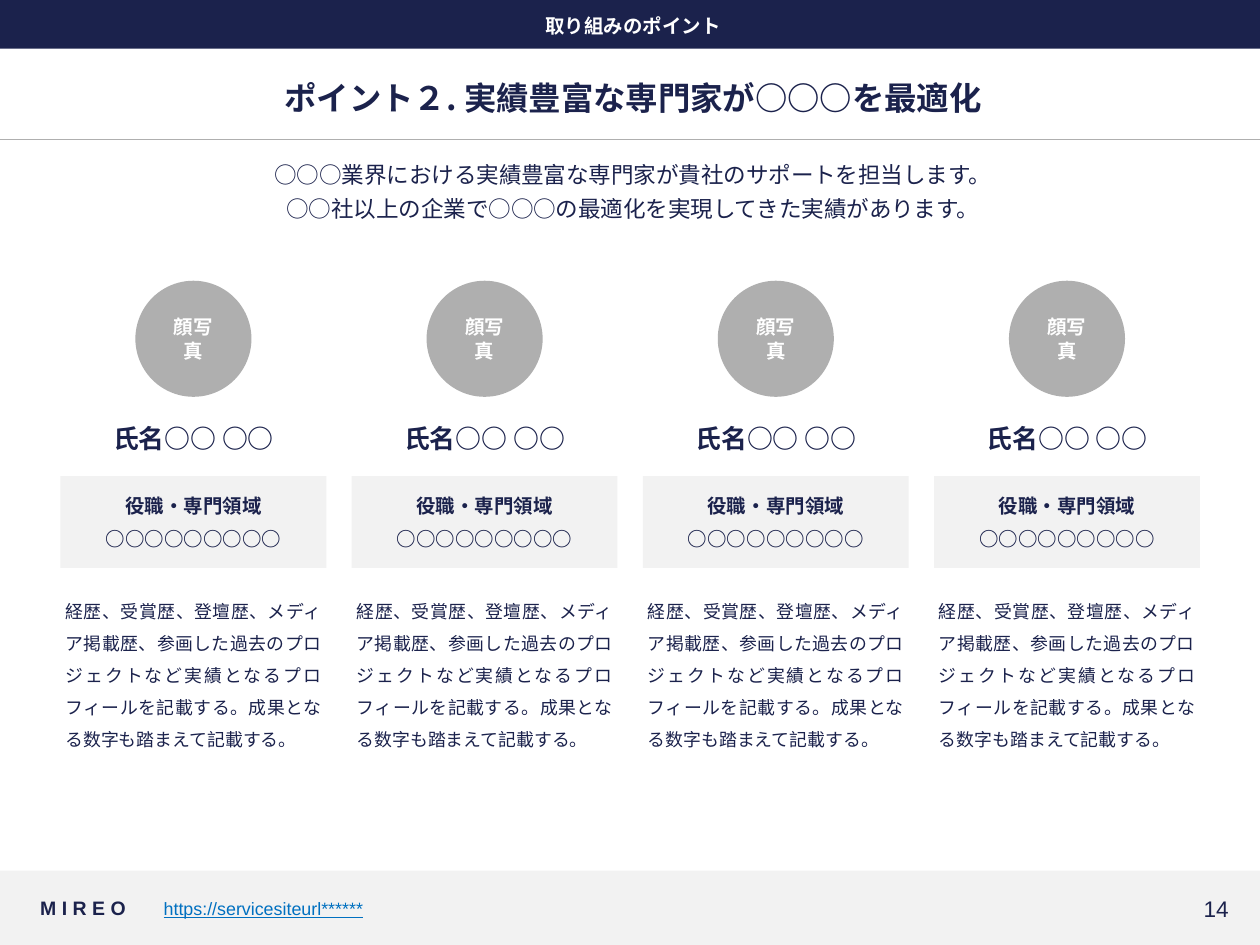
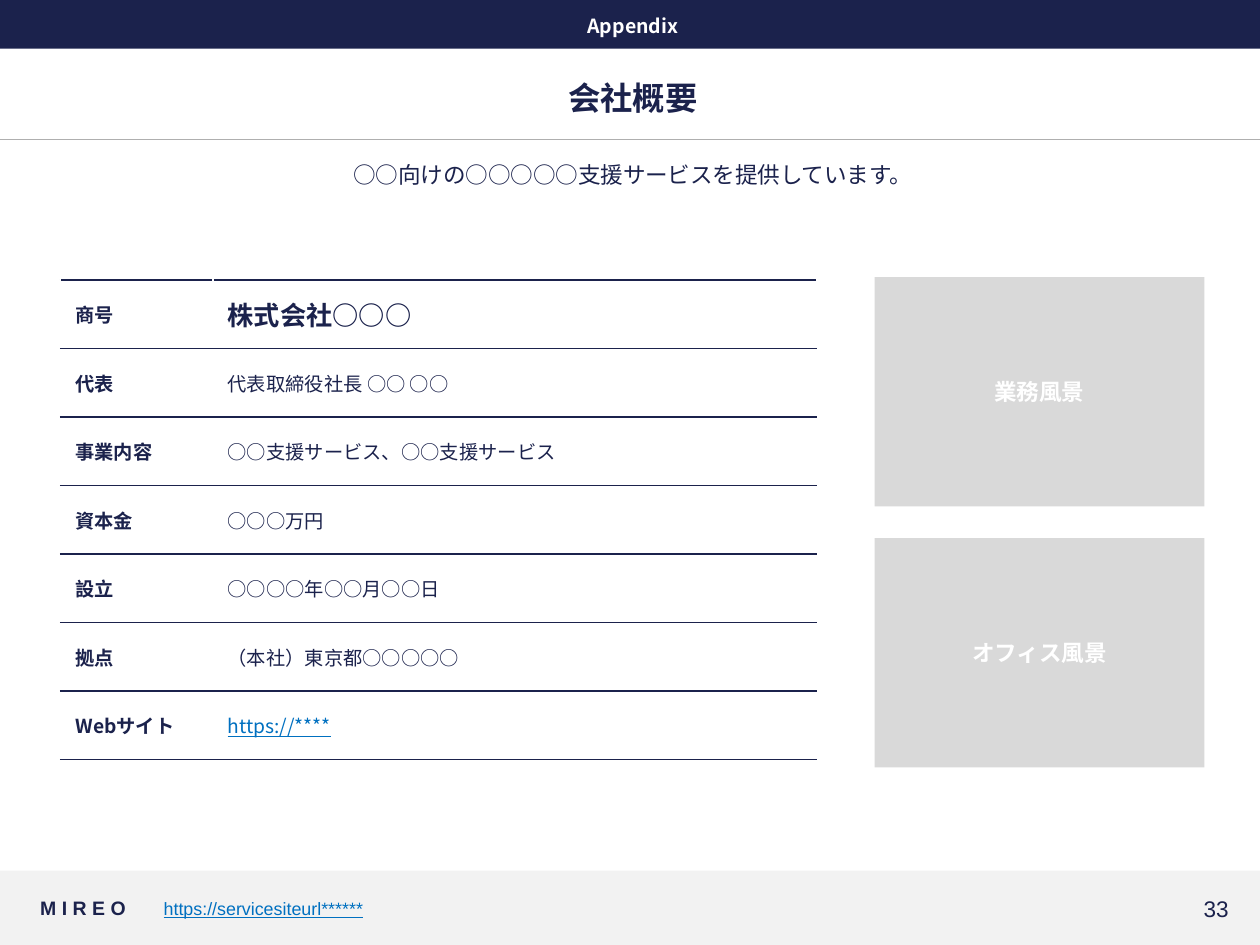
"""Build the expert-profile and company-overview slides of a service deck."""
from lxml import etree
from pptx import Presentation, util as u
from pptx.dml.color import RGBColor
from pptx.enum import shapes, text
from pptx.oxml import ns

COLORS = {
    "navy": "1B224C", "white": "FFFFFF", "pale": "F2F2F2",
    "grey": "AFAFAF", "photo": "D9D9D9", "link": "0070C0",
}
JAPANESE = "Noto Sans CJK JP"
LATIN = "Arial"
LEFT, CENTER, RIGHT, JUSTIFY = (
    text.PP_ALIGN.LEFT, text.PP_ALIGN.CENTER, text.PP_ALIGN.RIGHT, text.PP_ALIGN.JUSTIFY)
TOP, MIDDLE = text.MSO_ANCHOR.TOP, text.MSO_ANCHOR.MIDDLE
RECT, OVAL = shapes.MSO_SHAPE.RECTANGLE, shapes.MSO_SHAPE.OVAL

SLIDE_WIDTH, SLIDE_HEIGHT = 25.4, 19.05
MARGIN, CONTENT_WIDTH = 1.22, 23.08
FOOTER_TOP = 17.55


class Deck:
    def __init__(self):
        self.prs = Presentation()
        self.prs.slide_width, self.prs.slide_height = u.Cm(SLIDE_WIDTH), u.Cm(SLIDE_HEIGHT)
        self.slide = None

    def color(self, name):
        return RGBColor.from_string(COLORS[name])

    def typeset(self, frame, lines, size, color="navy", bold=False, align=LEFT,
                font=JAPANESE, after=0, spacing=None, hanging=False, underline=False):
        frame.text = "\n".join(lines)
        for paragraph in frame.paragraphs:
            paragraph.alignment = align
            paragraph.space_after = u.Pt(after)
            if spacing:
                paragraph.line_spacing = spacing
            if hanging:
                props = paragraph._p.get_or_add_pPr()
                props.set("marL", str(u.Cm(0.38)))
                props.set("indent", str(u.Cm(-0.56)))
            for run in paragraph.runs:
                run.font.size, run.font.bold, run.font.name = u.Pt(size), bold, font
                run.font.color.rgb = self.color(color)
                if underline:
                    run.font.underline = True
                east_asian = etree.SubElement(run._r.get_or_add_rPr(), ns.qn("a:ea"))
                east_asian.set("typeface", JAPANESE)

    def fit(self, frame, inset, anchor):
        frame.word_wrap = True
        frame.auto_size = text.MSO_AUTO_SIZE.NONE
        frame.vertical_anchor = anchor
        frame.margin_left = frame.margin_right = u.Cm(inset[0])
        frame.margin_top = frame.margin_bottom = u.Cm(inset[1])

    def label(self, box, lines, size, anchor=TOP, **style):
        frame = self.slide.shapes.add_textbox(*map(u.Cm, box)).text_frame
        self.fit(frame, (0.1, 0.1), anchor)
        self.typeset(frame, lines, size, **style)

    def panel(self, box, fill, lines=(), size=11.1, kind=RECT, inset=(0.1, 0.1), **style):
        panel = self.slide.shapes.add_shape(kind, *map(u.Cm, box))
        panel.shadow.inherit = False
        panel.fill.solid()
        panel.fill.fore_color.rgb = self.color(fill)
        panel.line.fill.background()
        if lines:
            self.fit(panel.text_frame, inset, MIDDLE)
            self.typeset(panel.text_frame, lines, size, bold=True, align=CENTER, **style)

    def rule(self, top):
        rule = self.slide.shapes.add_connector(
            shapes.MSO_CONNECTOR.STRAIGHT, 0, u.Cm(top), u.Cm(SLIDE_WIDTH), u.Cm(top))
        rule.line.color.rgb = self.color("grey")
        rule.line.width = u.Pt(0.5)
        etree.SubElement(rule._element.spPr, ns.qn("a:effectLst"))

    def page(self, section, title, lead, number):
        self.slide = self.prs.slides.add_slide(self.prs.slide_layouts[5])
        self.panel((0, FOOTER_TOP, SLIDE_WIDTH, SLIDE_HEIGHT - FOOTER_TOP), "pale")
        self.panel((0, 0, SLIDE_WIDTH, 0.98), "navy")
        self.rule(2.82)
        heading = self.slide.shapes.title
        heading.left, heading.top, heading.width, heading.height = map(
            u.Cm, (MARGIN, 1.47, CONTENT_WIDTH, 1))
        self.fit(heading.text_frame, (0.1, 0.1), MIDDLE)
        self.typeset(heading.text_frame, [title], 18.5, bold=True, align=CENTER)
        self.label((MARGIN, 0.18, CONTENT_WIDTH, 0.7), [section], 11.1,
                   color="white", bold=True, align=CENTER, hanging=True)
        self.label((MARGIN, 3.15, CONTENT_WIDTH, 1.6), lead, 12.9,
                   align=CENTER, after=3.7, hanging=True)
        footer = {"anchor": MIDDLE, "font": LATIN}
        self.label((0.71, 17.91, 2.49, 0.79), ["M I R E O"], 11.1, bold=True, **footer)
        self.label((3.2, 17.91, 18.5, 0.79), ["https://servicesiteurl******"], 10.2,
                   color="link", underline=True, **footer)
        self.label((22.38, 17.91, 2.49, 0.79), [number], 12.9, align=RIGHT, **footer)

    def border(self, cell, side, color):
        line = etree.SubElement(cell._tc.get_or_add_tcPr(), ns.qn(f"a:{side}"), w=str(u.Pt(1)))
        fill = etree.SubElement(line, ns.qn("a:solidFill"))
        etree.SubElement(fill, ns.qn("a:srgbClr"), val=COLORS[color])

    def table(self, box, widths, rows):
        table = self.slide.shapes.add_table(len(rows), len(widths), *map(u.Cm, box)).table
        table.first_row = table.horz_banding = False
        for column, width in zip(table.columns, widths):
            column.width = u.Cm(width)
        for row, entries in zip(table.rows, rows):
            row.height = u.Cm(box[3] / len(rows))
            for cell, (entry, style) in zip(row.cells, entries):
                cell.vertical_anchor = MIDDLE
                cell.margin_left = cell.margin_right = u.Cm(0.3)
                cell.margin_top = cell.margin_bottom = u.Cm(0.2)
                self.typeset(cell.text_frame, [entry], after=4, **style)
                for side, color in (("lnL", "white"), ("lnR", "white"),
                                    ("lnT", "navy"), ("lnB", "navy")):
                    self.border(cell, side, color)
                cell.fill.background()


def add_experts(deck):
    deck.page("取り組みのポイント", "ポイント２. 実績豊富な専門家が○○○を最適化",
              ["○○○業界における実績豊富な専門家が貴社のサポートを担当します。",
               "○○社以上の企業で○○○の最適化を実現してきた実績があります。"], "14")
    width, step, portrait = 5.36, 5.87, 2.34
    profile = ("経歴、受賞歴、登壇歴、メディア掲載歴、参画した過去のプロジェクトなど"
               "実績となるプロフィールを記載する。成果となる数字も踏まえて記載する。")
    for expert in range(4):
        left = MARGIN + expert * step
        deck.panel((left + (width - portrait) / 2, 5.66, portrait, portrait), "grey",
                   ["顔写真"], kind=OVAL, inset=(0.25, 0.13), color="white")
        deck.label((left, 8.38, width, 0.91), ["氏名○○ ○○"], 14.8,
                   anchor=MIDDLE, bold=True, align=CENTER, after=5.5)
        deck.panel((left, 9.6, width, 1.85), "pale", ["役職・専門領域", "○○○○○○○○○"],
                   inset=(0.18, 0.18), after=5.5)
        deck.label((left, 11.79, width, 4.42), [profile], 10.2,
                   align=JUSTIFY, font=LATIN, after=4, spacing=1.5)


def add_company(deck):
    deck.page("Appendix", "会社概要", ["○○向けの○○○○○支援サービスを提供しています。"], "33")
    heading, plain = {"size": 11, "bold": True}, {"size": 11}
    company = {"size": 15, "bold": True}
    website = {"size": 11, "color": "link", "underline": True}
    facts = [
        ("商号", "株式会社○○○", company),
        ("代表", "代表取締役社長 ○○ ○○", plain),
        ("事業内容", "○○支援サービス、○○支援サービス", plain),
        ("資本金", "○○○万円", plain),
        ("設立", "○○○○年○○月○○日", plain),
        ("拠点", "（本社）東京都○○○○○", plain),
        ("Webサイト", "https://****", website),
    ]
    deck.table((MARGIN, 5.64, 15.24, 9.68), (3.07, 12.17),
               [((item, heading), (value, style)) for item, value, style in facts])
    for position, scene in enumerate(("業務風景", "オフィス風景")):
        deck.panel((17.63, 5.59 + position * 5.26, 6.65, 4.62), "photo", [scene], 12.9,
                   color="white")


def main():
    deck = Deck()
    add_experts(deck)
    add_company(deck)
    deck.prs.save("out.pptx")


if __name__ == "__main__":
    main()
